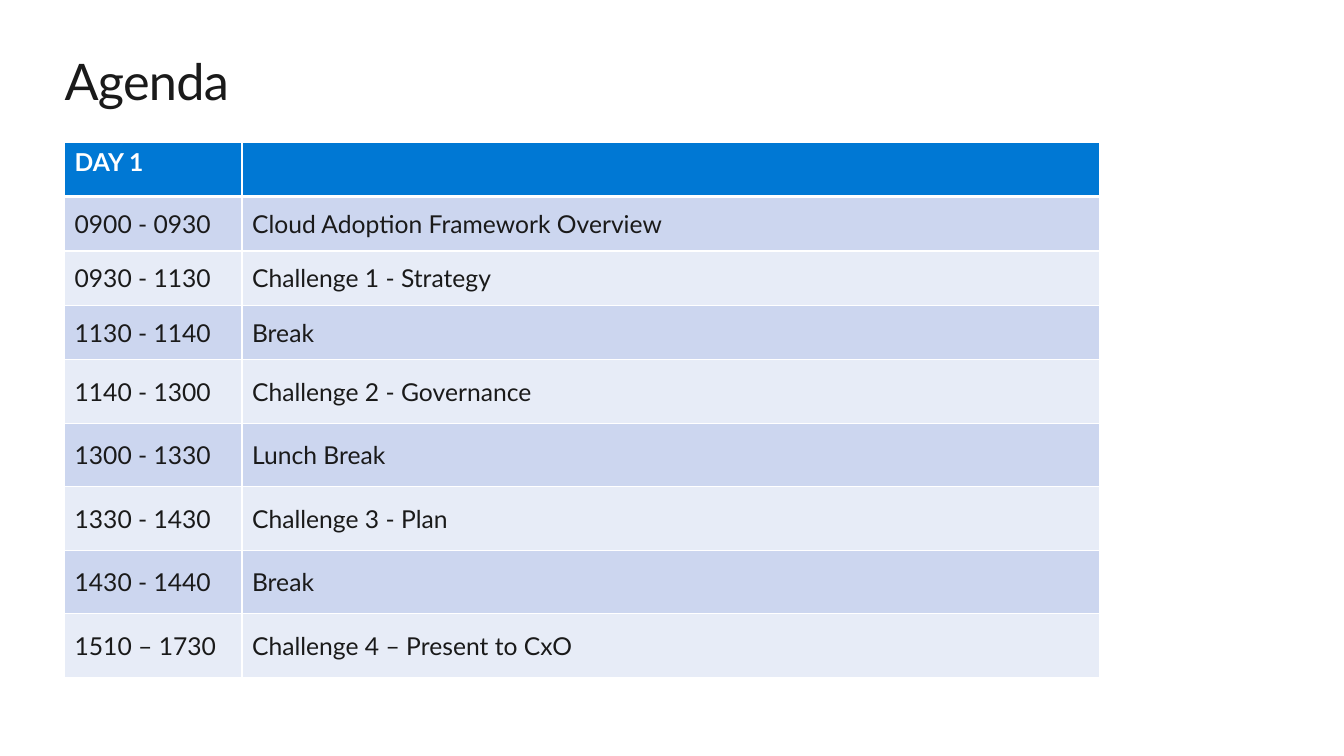
from pptx import Presentation
from pptx.dml.color import RGBColor
from pptx.enum.text import MSO_ANCHOR, PP_ALIGN
from pptx.oxml import parse_xml
from pptx.oxml.ns import nsdecls
from pptx.util import Inches, Pt


def style(r, size, color, bold=False):
    r.font.name = "Lato"
    r.font.size = Pt(size)
    r.font.bold = bold
    r.font.color.rgb = RGBColor.from_string(color)


def add_border(cell, side, width):
    cell._tc.get_or_add_tcPr().append(parse_xml(
        f'<a:ln{side} {nsdecls("a")} w="{Pt(width)}"><a:solidFill>'
        f'<a:srgbClr val="FFFFFF"/></a:solidFill></a:ln{side}>'))


agenda = [
    ("DAY 1", ""),
    ("0900 - 0930", "Cloud Adoption Framework Overview"),
    ("0930 - 1130", "Challenge 1 - Strategy"),
    ("1130 - 1140", "Break"),
    ("1140 - 1300", "Challenge 2 - Governance"),
    ("1300 - 1330", "Lunch Break"),
    ("1330 - 1430", "Challenge 3 - Plan"),
    ("1430 - 1440", "Break"),
    ("1510 – 1730", "Challenge 4 – Present to CxO"),
]

prs = Presentation()
prs.slide_width = Inches(13.33)
prs.slide_height = Inches(7.5)
s = prs.slides.add_slide(prs.slide_layouts[5])

title = s.shapes.title
title.left, title.top = Inches(0.64), Inches(0.5)
title.width, title.height = Inches(12.05), Inches(0.61)
tf = title.text_frame
tf.text = "Agenda"
tf.margin_left = tf.margin_top = tf.margin_right = tf.margin_bottom = 0
tf.vertical_anchor = MSO_ANCHOR.TOP
p = tf.paragraphs[0]
p.alignment = PP_ALIGN.LEFT
r = p.runs[0]
style(r, 36, "1A1A1A")
r._r.get_or_add_rPr().set("spc", "-50")

table = s.shapes.add_table(len(agenda), 2, Inches(0.64), Inches(1.41),
                           Inches(10.27), Inches(5.31)).table
table.columns[0].width = Inches(1.76)
table.columns[1].width = Inches(8.51)

for i, entry in enumerate(agenda):
    header = i == 0
    table.rows[i].height = Inches(0.54 if i < 4 else 0.63)
    fill = "0078D4" if header else "CCD6EF" if i % 2 else "E7ECF7"
    for j, text in enumerate(entry):
        cell = table.cell(i, j)
        cell.vertical_anchor = MSO_ANCHOR.TOP if header else MSO_ANCHOR.MIDDLE
        for side in "LRTB":
            under_header = (i, side) in [(0, "B"), (1, "T")]
            add_border(cell, side, 3 if under_header else 1)
        cell.fill.solid()
        cell.fill.fore_color.rgb = RGBColor.from_string(fill)
        cell.text_frame.text = text
        for r in cell.text_frame.paragraphs[0].runs:
            style(r, 17.6, "FFFFFF" if header else "1A1A1A", header)

prs.save("out.pptx")
